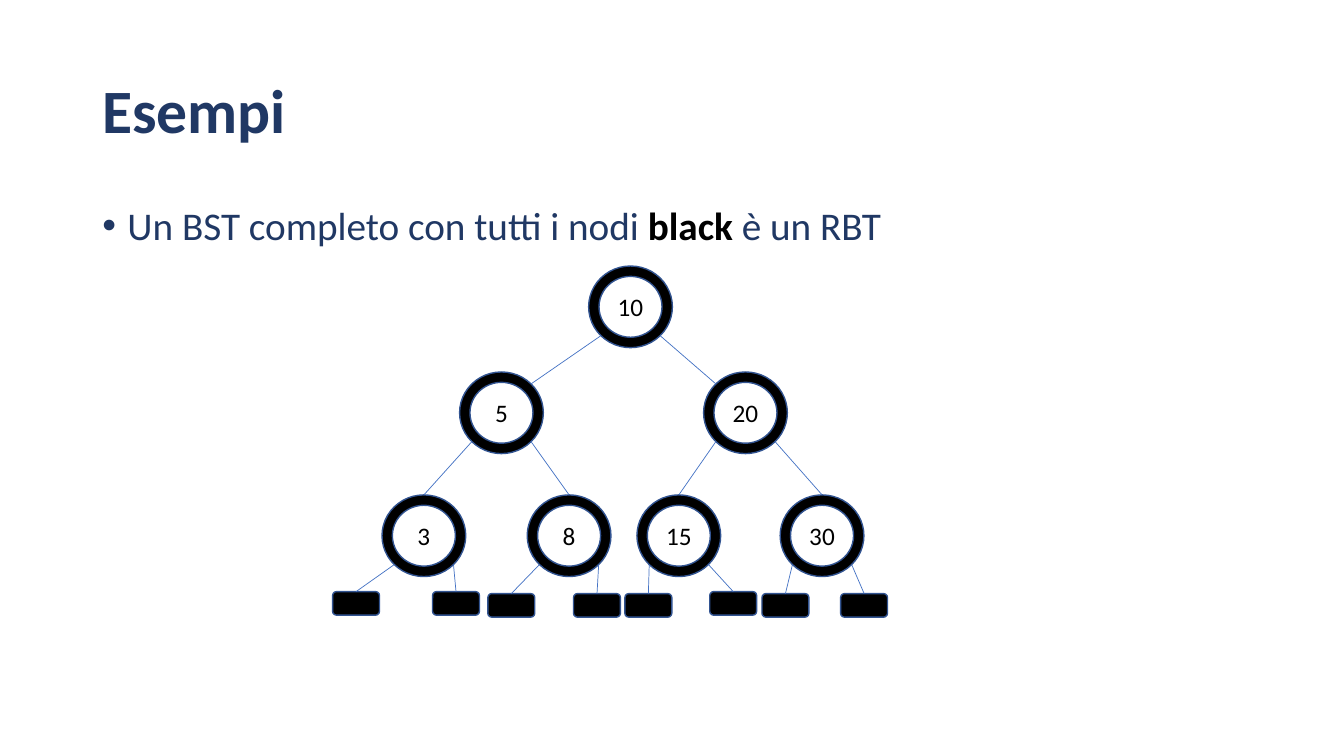
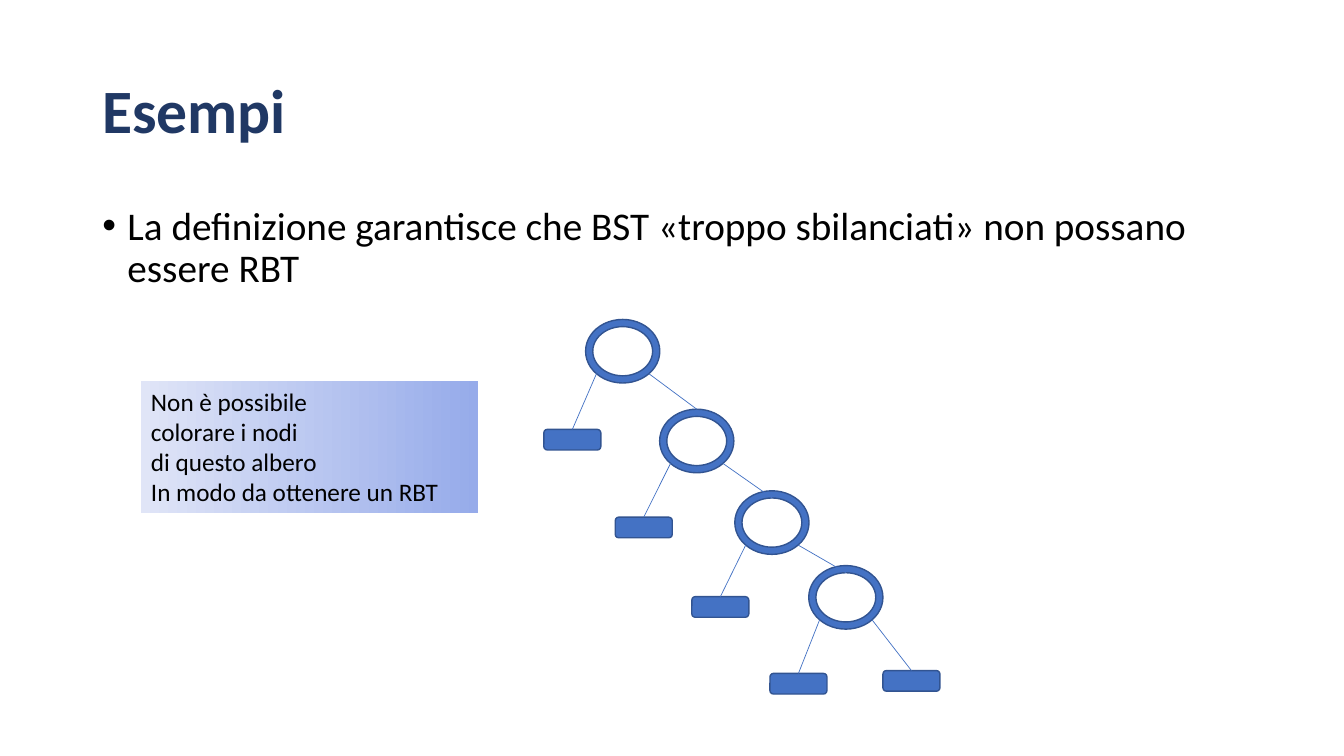
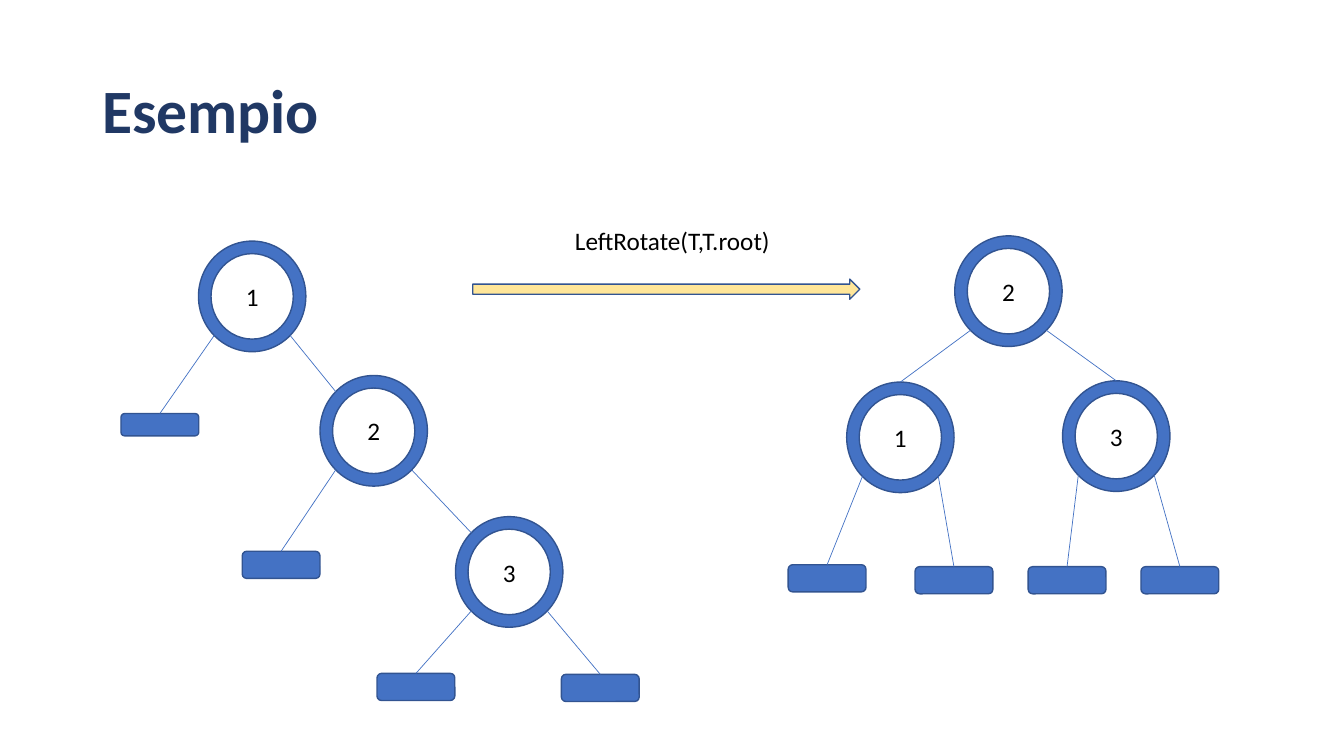
"""Build three slides of red-black tree examples."""
import dataclasses
import math

import pptx
import pptx.dml.color
import pptx.enum.shapes
import pptx.enum.text
import pptx.oxml
import pptx.oxml.ns
import pptx.util

Pt = pptx.util.Pt
RGB = pptx.dml.color.RGBColor.from_string
SHAPE = pptx.enum.shapes.MSO_SHAPE
ALIGN = pptx.enum.text.PP_ALIGN
ANCHOR = pptx.enum.text.MSO_ANCHOR


@dataclasses.dataclass(frozen=True)
class Theme:
    """Colours and type sizes of the deck."""
    font: str = "Calibri"
    navy: str = "203864"
    black: str = "000000"
    blue: str = "4472C4"
    outline: str = "325491"
    arrow: str = "FFE699"
    note_light: str = "E0E5F7"
    note_dark: str = "96ABEA"
    title: float = 44
    body: float = 28
    small: float = 18


class Deck:
    """Draws the elements of the current slide in the deck's style."""

    def __init__(self, theme):
        """Start an empty widescreen presentation."""
        self.theme = theme
        self.prs = pptx.Presentation()
        self.prs.slide_width, self.prs.slide_height = Pt(960), Pt(540)
        self.s = None

    def slide(self, title):
        """Add a blank slide with its title."""
        self.s = self.prs.slides.add_slide(self.prs.slide_layouts[6])
        tf = self.box(66, 28.8, 828, 104.4, ANCHOR.MIDDLE)
        p = tf.paragraphs[0]
        p.line_spacing = 0.9
        self.run(p, title, self.theme.title, self.theme.navy, True)

    def box(self, x, y, w, h, anchor=ANCHOR.TOP):
        """Add a wrapping text box and return its text frame."""
        sp = self.s.shapes.add_textbox(Pt(x), Pt(y), Pt(w), Pt(h))
        tf = sp.text_frame
        tf.word_wrap = True
        tf.vertical_anchor = anchor
        return tf

    def run(self, p, text, size, color, bold=False):
        """Append one formatted run to a paragraph."""
        r = p.add_run()
        r.text = text
        r.font.name = self.theme.font
        r.font.size = Pt(size)
        r.font.bold = bold
        r.font.color.rgb = RGB(color)

    def bullet(self, *runs):
        """Add the bulleted body line from (text, colour, bold) runs."""
        p = self.box(66, 144, 828, 80).paragraphs[0]
        pPr = p._p.get_or_add_pPr()
        pPr.set("marL", str(Pt(18)))
        pPr.set("indent", str(-Pt(18)))
        ns = pptx.oxml.ns.nsdecls("a")
        pPr.append(pptx.oxml.parse_xml(f'<a:buFont {ns} typeface="Arial"/>'))
        pPr.append(pptx.oxml.parse_xml(f'<a:buChar {ns} char="•"/>'))
        p.line_spacing = 0.9
        for text, color, bold in runs:
            self.run(p, text, self.theme.body, color, bold)

    def label(self, x, y, w, h, text):
        """Write small text in the middle of an area."""
        tf = self.box(x, y, w, h, ANCHOR.MIDDLE)
        tf.margin_left = tf.margin_right = tf.margin_top = tf.margin_bottom = 0
        p = tf.paragraphs[0]
        p.alignment = ALIGN.CENTER
        self.run(p, text, self.theme.small, self.theme.black)

    def shape(self, kind, x, y, w, h, color):
        """Add an outlined preset shape."""
        sp = self.s.shapes.add_shape(kind, Pt(x), Pt(y), Pt(w), Pt(h))
        sp.shadow.inherit = False
        sp.fill.solid()
        sp.fill.fore_color.rgb = RGB(color)
        sp.line.color.rgb = RGB(self.theme.outline)
        sp.line.width = Pt(1)
        return sp

    def note(self, x, y, w, h, lines):
        """Add a gradient box with one paragraph per line."""
        sp = self.shape(SHAPE.RECTANGLE, x, y, w, h, self.theme.note_light)
        sp.line.fill.background()
        sp.fill.gradient()
        sp.fill.gradient_angle = 0
        for stop, color in zip(sp.fill.gradient_stops,
                               (self.theme.note_light, self.theme.note_dark)):
            stop.color.rgb = RGB(color)
        tf = sp.text_frame
        tf.word_wrap = True
        tf.vertical_anchor = ANCHOR.TOP
        for i, line in enumerate(lines):
            p = tf.add_paragraph() if i else tf.paragraphs[0]
            p.alignment = ALIGN.LEFT
            self.run(p, line, self.theme.small, self.theme.black)

    def edge(self, start, end, target=None):
        """Draw a thin line, joined to the top of a target if given."""
        cx = self.s.shapes.add_connector(
            pptx.enum.shapes.MSO_CONNECTOR.STRAIGHT,
            *(Pt(v) for v in (*start, *end)))
        cx.line.color.rgb = RGB(self.theme.blue)
        cx.line.width = Pt(0.5)
        cx._element.spPr.append(pptx.oxml.parse_xml(
            f'<a:effectLst {pptx.oxml.ns.nsdecls("a")}/>'))
        if target is not None:
            cx.end_connect(target, 0)

    def tree(self, color, node, ring, leaf, nodes, edges, leaves):
        """Draw ring nodes, edges (parent, child, join) and leaves."""
        w, h = node
        dx, dy = w / 2 * math.sqrt(0.5), h / 2 * math.sqrt(0.5)
        rings = []
        for x, y, _ in nodes:
            sp = self.shape(SHAPE.DONUT, x, y, w, h, color)
            sp.adjustments[0] = ring
            rings.append(sp)

        def lower_corner(parent, toward):
            x, y, _ = nodes[parent]
            cx = x + w / 2
            return cx + math.copysign(dx, toward - cx), y + h / 2 + dy

        for parent, child, join in edges:
            x, y, _ = nodes[child]
            cx, cy = x + w / 2, y + h / 2
            start = lower_corner(parent, cx)
            if join == "corner":
                self.edge(start, (cx + math.copysign(dx, start[0] - cx), cy - dy))
            elif join == "inside":
                self.edge(start, (cx, y + 5))
            else:
                self.edge(start, (cx, y), rings[child])
        for parent, x, y, *height in leaves:
            sp = self.shape(SHAPE.ROUNDED_RECTANGLE, x, y, leaf[0],
                            height[0] if height else leaf[1], color)
            top = (x + leaf[0] / 2, y)
            self.edge(lower_corner(parent, top[0]), top, sp)
        for x, y, text in nodes:
            if text:
                self.label(x, y, w, h, text)


def complete_tree(deck):
    """Slide with the complete all-black tree."""
    t = deck.theme
    deck.slide("Esempi")
    deck.bullet(("Un BST completo con tutti i nodi ", t.navy, False),
                ("black ", t.black, True), ("è un RBT", t.navy, False))
    deck.tree(
        t.black, (59.8, 58.3), 0.127, (33.5, 16.8),
        [(420.5, 190, "10"), (328.3, 265.7, "5"), (502.6, 265.7, "20"),
         (272.9, 353.5, "3"), (376.6, 353.5, "8"),
         (455, 353.5, "15"), (557.3, 353.5, "30")],
        [(0, 1, "corner"), (0, 2, "corner"), (1, 3, "top"), (1, 4, "top"),
         (2, 5, "top"), (2, 6, "top")],
        [(3, 237.6, 422.6), (3, 309, 422.6), (4, 348.5, 424), (4, 409.7, 424),
         (5, 446.4, 424), (5, 507, 422.6), (6, 544.3, 424), (6, 600.5, 424)])


def unbalanced_tree(deck):
    """Slide with the chain that cannot be coloured."""
    t = deck.theme
    deck.slide("Esempi")
    deck.bullet(("La definizione garantisce che BST «troppo sbilanciati» "
                 "non possano essere RBT", t.black, False))
    deck.tree(
        t.blue, (53, 45.4), 0.113, (40.7, 14.7),
        [(418.3, 228.2, ""), (471.2, 292.3, ""),
         (524.9, 350.6, ""), (577.7, 404, "")],
        [(0, 1, "top"), (1, 2, "inside"), (2, 3, "inside")],
        [(0, 388.5, 306.7), (1, 439.5, 369.4), (2, 494.2, 426.2),
         (3, 550, 481), (3, 630.7, 479)])
    deck.note(100.8, 272.2, 240.5, 94.3,
              ["Non è possibile", "colorare i nodi", "di questo albero",
               "In modo da ottenere un RBT"])


def rotation(deck):
    """Slide with a tree before and after a left rotation."""
    t = deck.theme
    deck.slide("Esempio")
    style = (t.blue, (76.7, 79), 0.117, (55.6, 19.4))
    deck.tree(
        *style,
        [(141.8, 172.2, "1"), (228.6, 268.2, "2"), (325.4, 369, "3")],
        [(0, 1, "corner"), (1, 2, "corner")],
        [(0, 86.4, 295.4, 16), (1, 173, 393.8),
         (2, 269.3, 481), (2, 401, 481.7)])
    deck.tree(
        *style,
        [(682, 168.5, "2"), (604.8, 272.9, "1"), (759, 272, "3")],
        [(0, 1, "top"), (0, 2, "top")],
        [(1, 563, 403.4), (1, 653.6, 404.8), (2, 734.4, 404.8), (2, 815, 404.8)])
    deck.shape(SHAPE.RIGHT_ARROW, 337.7, 199.4, 276.5, 14.4, t.arrow)
    deck.label(402.5, 157, 155.5, 29, "LeftRotate(T,T.root)")


def main():
    """Build and save the deck."""
    deck = Deck(Theme())
    complete_tree(deck)
    unbalanced_tree(deck)
    rotation(deck)
    deck.prs.save("out.pptx")


if __name__ == "__main__":
    main()
